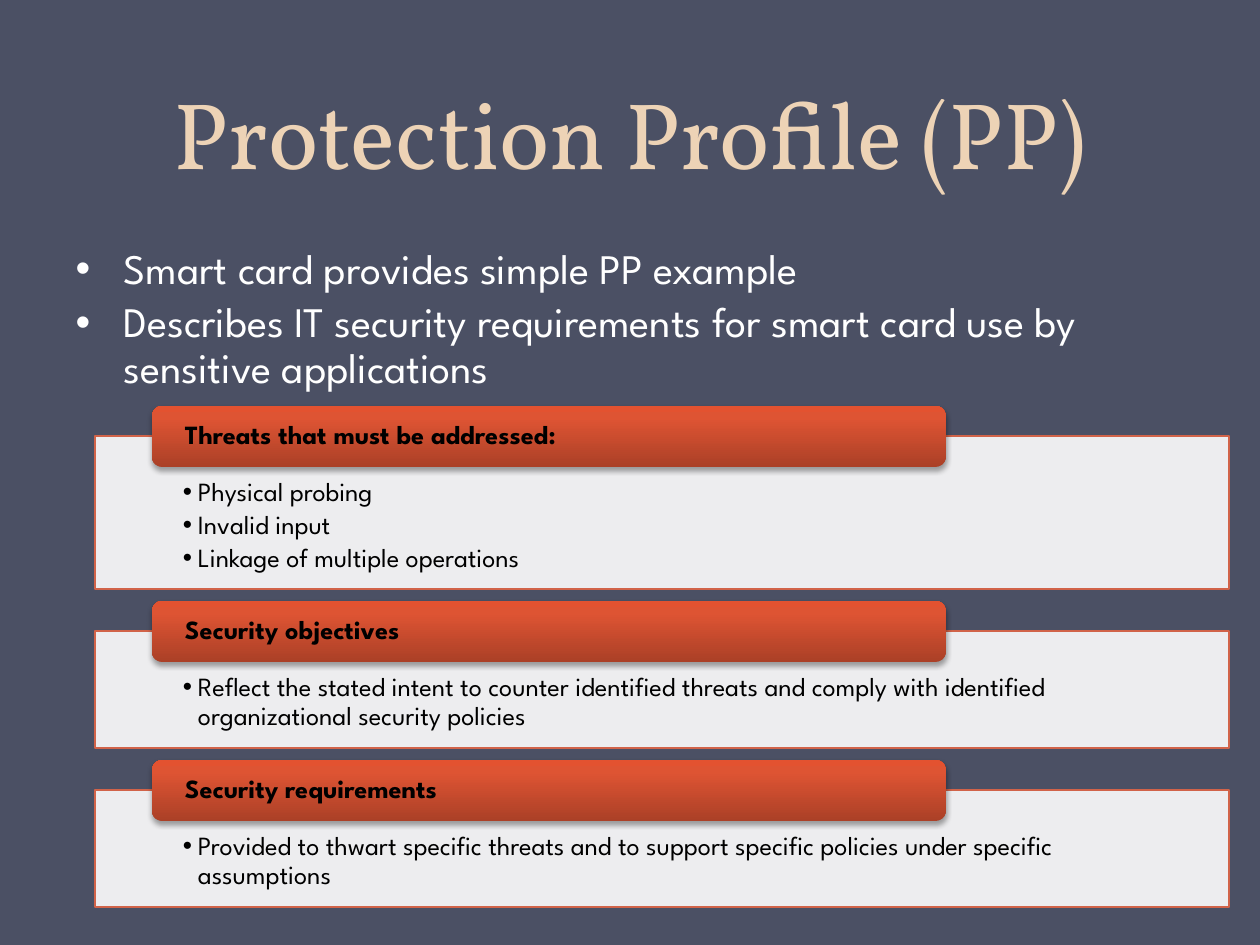
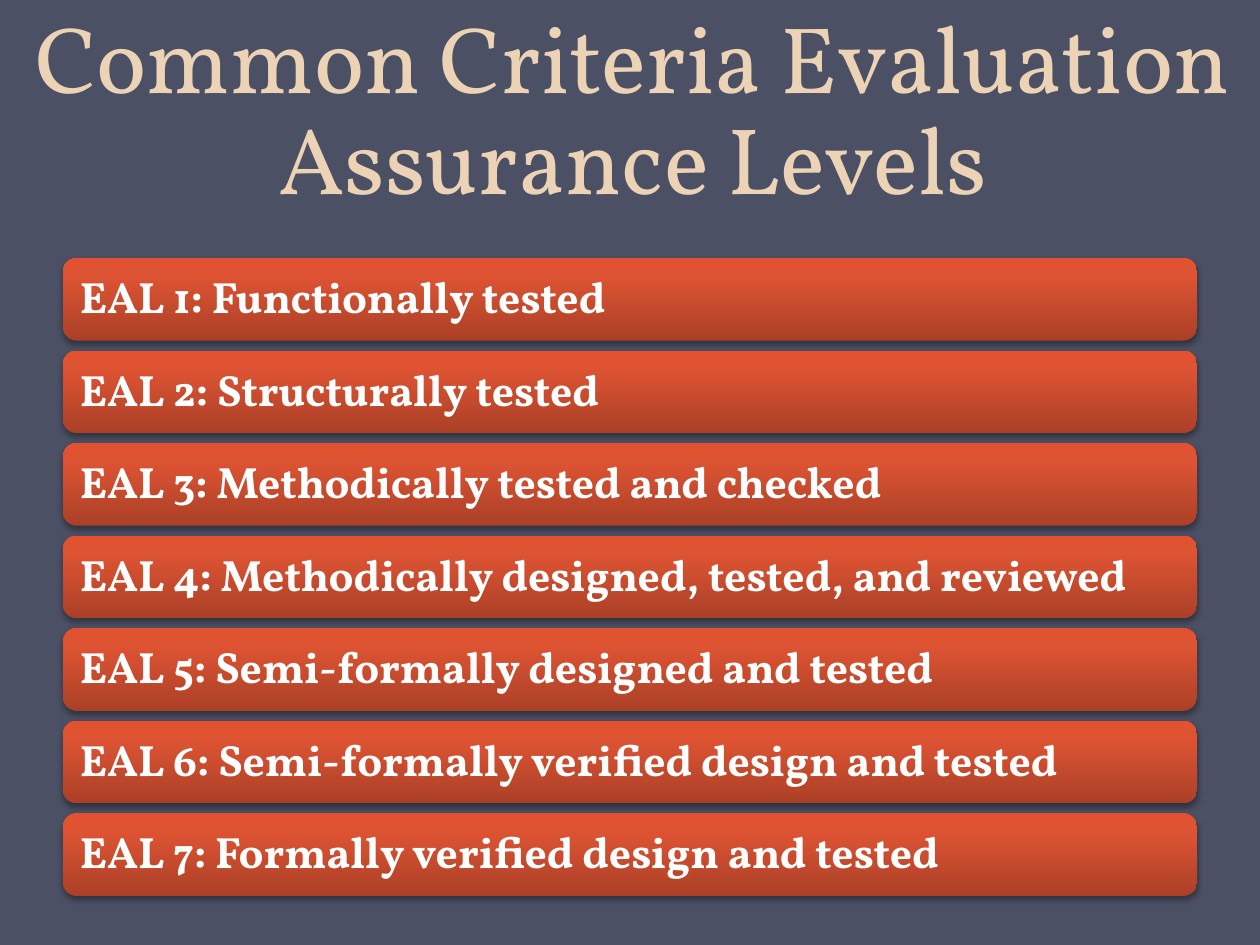
from copy import deepcopy

from lxml.etree import SubElement
from pptx import Presentation
from pptx.dml.color import RGBColor
from pptx.enum.shapes import MSO_SHAPE
from pptx.enum.text import MSO_ANCHOR, MSO_AUTO_SIZE, PP_ALIGN
from pptx.oxml.ns import qn
from pptx.util import Emu, Pt

SLATE = RGBColor(0x4B, 0x50, 0x64)
SAND = RGBColor(0xED, 0xD3, 0xB6)
WHITE = RGBColor(0xFF, 0xFF, 0xFF)
BLACK = RGBColor(0, 0, 0)
RUST = RGBColor(0xD1, 0x63, 0x49)
BAR_STOPS = [
    (0, RGBColor(0xAB, 0x40, 0x27)),
    (0.8, RGBColor(0xDE, 0x54, 0x33)),
    (1, RGBColor(0xE3, 0x52, 0x30)),
]

SERIF = "Vollkorn"
SANS = "League Spartan"
TITLE_FONT = {"name": SERIF, "size": Pt(54), "bold": False}
LIST_FONT = {"name": SANS, "size": Pt(24)}
DETAIL_FONT = {"name": SANS, "size": Pt(15)}
HEADING_FONT = {"name": SANS, "size": Pt(15), "bold": True}
LEVEL_FONT = {"name": SERIF, "size": Pt(25), "bold": True}

POINTS = [
    "Smart card provides simple PP example",
    "Describes IT security requirements for smart card use by sensitive applications",
]
SECTIONS = [
    ("Threats that must be addressed:", 153,
     ["Physical probing", "Invalid input", "Linkage of multiple operations"]),
    ("Security objectives", 117,
     ["Reflect the stated intent to counter identified threats and comply "
      "with identified organizational security policies"]),
    ("Security requirements", 117,
     ["Provided to thwart specific threats and to support specific policies "
      "under specific assumptions"]),
]
LEVELS = [
    "Functionally tested",
    "Structurally tested",
    "Methodically tested and checked",
    "Methodically designed, tested, and reviewed",
    "Semi-formally designed and tested",
    "Semi-formally verified design and tested",
    "Formally verified design and tested",
]


def px(length):
    return Emu(round(length * 914400 / 126))


def set_all(target, values):
    for name, value in values.items():
        setattr(target, name, value)


def place(shape, box):
    set_all(shape, dict(zip(("left", "top", "width", "height"), map(px, box))))


def set_insets(frame, insets):
    sides = ("margin_left", "margin_top", "margin_right", "margin_bottom")
    set_all(frame, dict(zip(sides, map(px, insets))))


def add_bullet(para, indent):
    properties = para._p.get_or_add_pPr()
    properties.set("marL", str(px(indent)))
    properties.set("indent", str(-px(indent)))
    SubElement(properties, qn("a:buFont"), typeface="Arial")
    SubElement(properties, qn("a:buChar"), char="•")


def write(frame, lines, font, color, layout, bullet_indent=0, gap=0):
    frame.word_wrap = True
    frame.auto_size = MSO_AUTO_SIZE.NONE
    for index, line in enumerate(lines):
        para = frame.add_paragraph() if index else frame.paragraphs[0]
        if bullet_indent:
            add_bullet(para, bullet_indent)
        set_all(para, {"space_before": Pt(gap if index else 0), **layout})
        span = para.add_run()
        span.text = line
        set_all(span.font, font)
        span.font.color.rgb = color


def add_title(page, text, box):
    title = page.shapes.title
    place(title, box)
    title.text_frame.vertical_anchor = MSO_ANCHOR.BOTTOM
    write(title.text_frame, [text], TITLE_FONT, SAND,
          {"alignment": PP_ALIGN.CENTER, "line_spacing": Pt(58)})
    return title


def outline_text(title, color, width):
    properties = title.text_frame.paragraphs[0].runs[0].font._element
    line = properties.makeelement(qn("a:ln"), {"w": str(Pt(width))})
    fill = SubElement(line, qn("a:solidFill"))
    SubElement(fill, qn("a:srgbClr"), val=str(color))
    properties.insert(0, line)


def add_body(page, lines, box):
    body = page.placeholders[1]
    place(body, box)
    write(body.text_frame, lines, LIST_FONT, WHITE, {"line_spacing": 0.9},
          bullet_indent=48, gap=4.5)


def add_box(page, kind, box):
    shape = page.shapes.add_shape(kind, *map(px, box))
    shape.shadow.inherit = False
    return shape


def add_bar(page, text, box, font, color, insets):
    bar = add_box(page, MSO_SHAPE.ROUNDED_RECTANGLE, box)
    bar.line.fill.background()
    bar.fill.gradient()
    bar.fill.gradient_angle = 90
    properties = bar._element.spPr
    stop_list = properties.find(qn("a:gradFill")).find(qn("a:gsLst"))
    stop_list.append(deepcopy(stop_list[-1]))
    for stop, (position, stop_color) in zip(bar.fill.gradient_stops, BAR_STOPS):
        stop.position = position
        stop.color.rgb = stop_color
    shadow = SubElement(properties.find(qn("a:effectLst")), qn("a:outerShdw"),
                        blurRad=str(Pt(3.1)), dist=str(Pt(1.8)),
                        dir="5400000", rotWithShape="0")
    shade = SubElement(shadow, qn("a:srgbClr"), val=str(BLACK))
    SubElement(shade, qn("a:alpha"), val="35000")
    set_insets(bar.text_frame, insets)
    bar.text_frame.vertical_anchor = MSO_ANCHOR.MIDDLE
    write(bar.text_frame, [text], font, color,
          {"alignment": PP_ALIGN.LEFT, "line_spacing": 0.9})


def add_section(page, heading, details, box):
    left, top, width, height = box
    panel = add_box(page, MSO_SHAPE.RECTANGLE, box)
    panel.fill.solid()
    panel.fill.fore_color.rgb = WHITE
    tint = panel._element.spPr.find(qn("a:solidFill"))[0]
    SubElement(tint, qn("a:alpha"), val="90000")
    panel.line.color.rgb = RUST
    panel.line.width = Pt(0.75)
    set_insets(panel.text_frame, (88, 43, 88, 15))
    panel.text_frame.vertical_anchor = MSO_ANCHOR.TOP
    write(panel.text_frame, details, DETAIL_FONT, BLACK,
          {"alignment": PP_ALIGN.LEFT, "line_spacing": 0.9}, bullet_indent=15, gap=2.5)
    add_bar(page, heading, (left + 57, top - 30, width * 0.7, 61),
            HEADING_FONT, BLACK, (30, 0, 30, 0))


def add_sections(page, left, top, width, gap):
    for heading, height, details in SECTIONS:
        add_section(page, heading, details, (left, top, width, height))
        top += height + gap


def add_levels(page, box, gap):
    left, top, width, height = box
    bar_height = (height - gap * (len(LEVELS) - 1)) / len(LEVELS)
    for index, level in enumerate(LEVELS):
        bar_top = top + index * (bar_height + gap)
        add_bar(page, f"EAL {index + 1}: {level}", (left, bar_top, width, bar_height),
                LEVEL_FONT, WHITE, (13, 13, 13, 13))


def build_profile_page(deck):
    page = deck.slides.add_slide(deck.slide_layouts[1])
    add_title(page, "Protection Profile (PP)", (63, 0, 1134, 195))
    add_body(page, POINTS, (63, 242, 1134, 168))
    add_sections(page, left=95, top=436, width=1134, gap=42)


def build_levels_page(deck):
    page = deck.slides.add_slide(deck.slide_layouts[5])
    title = add_title(page, "Common Criteria Evaluation Assurance Levels", (5, 0, 1255, 220))
    outline_text(title, WHITE, 1.45)
    add_levels(page, (63, 258, 1134, 638), gap=10)


def main():
    deck = Presentation()
    deck.slide_width, deck.slide_height = px(1260), px(945)
    background = deck.slide_master.background.fill
    background.solid()
    background.fore_color.rgb = SLATE
    build_profile_page(deck)
    build_levels_page(deck)
    deck.save("out.pptx")


if __name__ == "__main__":
    main()
